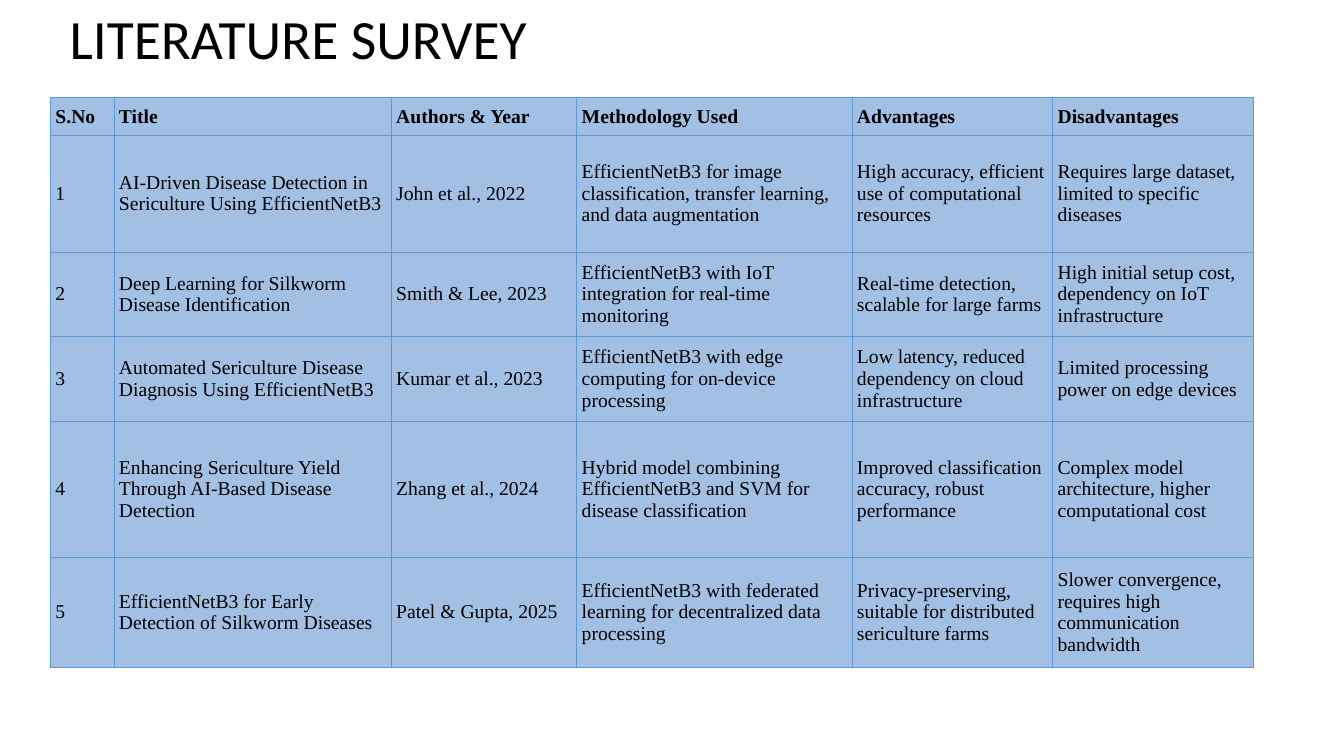
from dataclasses import dataclass

from lxml.etree import SubElement
from pptx import Presentation
from pptx.dml.color import RGBColor
from pptx.enum.text import MSO_ANCHOR as Anchor, MSO_AUTO_SIZE as AutoSize, PP_ALIGN as Align
from pptx.oxml.ns import qn
from pptx.util import Inches, Pt

TITLE = "LITERATURE SURVEY"
HEADINGS = ("S.No", "Title", "Authors & Year", "Methodology Used", "Advantages", "Disadvantages")
PAPERS = [
    ("AI-Driven Disease Detection in Sericulture Using EfficientNetB3",
     "John et al., 2022",
     "EfficientNetB3 for image classification, transfer learning, and data augmentation",
     "High accuracy, efficient use of computational resources",
     "Requires large dataset, limited to specific diseases"),
    ("Deep Learning for Silkworm Disease Identification",
     "Smith & Lee, 2023",
     "EfficientNetB3 with IoT integration for real-time monitoring",
     "Real-time detection, scalable for large farms",
     "High initial setup cost, dependency on IoT infrastructure"),
    ("Automated Sericulture Disease Diagnosis Using EfficientNetB3",
     "Kumar et al., 2023",
     "EfficientNetB3 with edge computing for on-device processing",
     "Low latency, reduced dependency on cloud infrastructure",
     "Limited processing power on edge devices"),
    ("Enhancing Sericulture Yield Through AI-Based Disease Detection",
     "Zhang et al., 2024",
     "Hybrid model combining EfficientNetB3 and SVM for disease classification",
     "Improved classification accuracy, robust performance",
     "Complex model architecture, higher computational cost"),
    ("EfficientNetB3 for Early Detection of Silkworm Diseases",
     "Patel & Gupta, 2025",
     "EfficientNetB3 with federated learning for decentralized data processing",
     "Privacy-preserving, suitable for distributed sericulture farms",
     "Slower convergence, requires high communication bandwidth"),
]
COLUMN_WIDTHS = (0.63, 2.75, 1.84, 2.73, 1.99, 1.99)
ROW_HEIGHTS = (0.37, 1.16, 0.84, 0.84, 1.35, 1.09)


@dataclass(frozen=True)
class Theme:
    title_font: str = "Calibri"
    table_font: str = "Times New Roman"
    title_size: float = 39.6
    table_size: float = 14
    border_width: float = 0.5
    text: str = "000000"
    fill: str = "A2BFE4"
    border: str = "5B9BD5"


THEME = Theme()


def format_text(para, font, size, bold=False):
    for span in para.runs:
        span.font.name = font
        span.font.size = Pt(size)
        span.font.bold = bold
        span.font.color.rgb = RGBColor.from_string(THEME.text)


def add_borders(cell):
    properties = cell._tc.get_or_add_tcPr()
    for side in ("a:lnL", "a:lnR", "a:lnT", "a:lnB"):
        line = SubElement(properties, qn(side), w=str(Pt(THEME.border_width)))
        fill = SubElement(line, qn("a:solidFill"))
        SubElement(fill, qn("a:srgbClr"), val=THEME.border)


def fill_cell(cell, text, bold):
    cell.text = text
    cell.vertical_anchor = Anchor.MIDDLE
    cell.margin_left = cell.margin_right = Inches(0.05)
    cell.margin_top = cell.margin_bottom = Inches(0.02)
    add_borders(cell)
    cell.fill.solid()
    cell.fill.fore_color.rgb = RGBColor.from_string(THEME.fill)
    format_text(cell.text_frame.paragraphs[0], THEME.table_font, THEME.table_size, bold)


def add_title(page):
    box = page.shapes.title
    box.left, box.top, box.width, box.height = map(Inches, (0.59, 0.1, 11.5, 0.63))
    frame = box.text_frame
    frame.text = TITLE
    frame.word_wrap = True
    frame.auto_size = AutoSize.NONE
    frame.vertical_anchor = Anchor.MIDDLE
    para = frame.paragraphs[0]
    para.alignment = Align.LEFT
    para.line_spacing = 0.9
    format_text(para, THEME.title_font, THEME.title_size)


def add_survey(page):
    rows = [HEADINGS] + [(str(number), *paper) for number, paper in enumerate(PAPERS, 1)]
    table = page.shapes.add_table(
        len(rows), len(HEADINGS), Inches(0.5), Inches(0.97),
        Inches(sum(COLUMN_WIDTHS)), Inches(sum(ROW_HEIGHTS))).table
    for column, width in zip(table.columns, COLUMN_WIDTHS):
        column.width = Inches(width)
    for index, (row, height, texts) in enumerate(zip(table.rows, ROW_HEIGHTS, rows)):
        row.height = Inches(height)
        for cell, text in zip(row.cells, texts):
            fill_cell(cell, text, bold=index == 0)


def main():
    deck = Presentation()
    deck.slide_width, deck.slide_height = Inches(13.33), Inches(7.5)
    page = deck.slides.add_slide(deck.slide_layouts.get_by_name("Title Only"))
    add_title(page)
    add_survey(page)
    deck.save("out.pptx")


if __name__ == "__main__":
    main()
